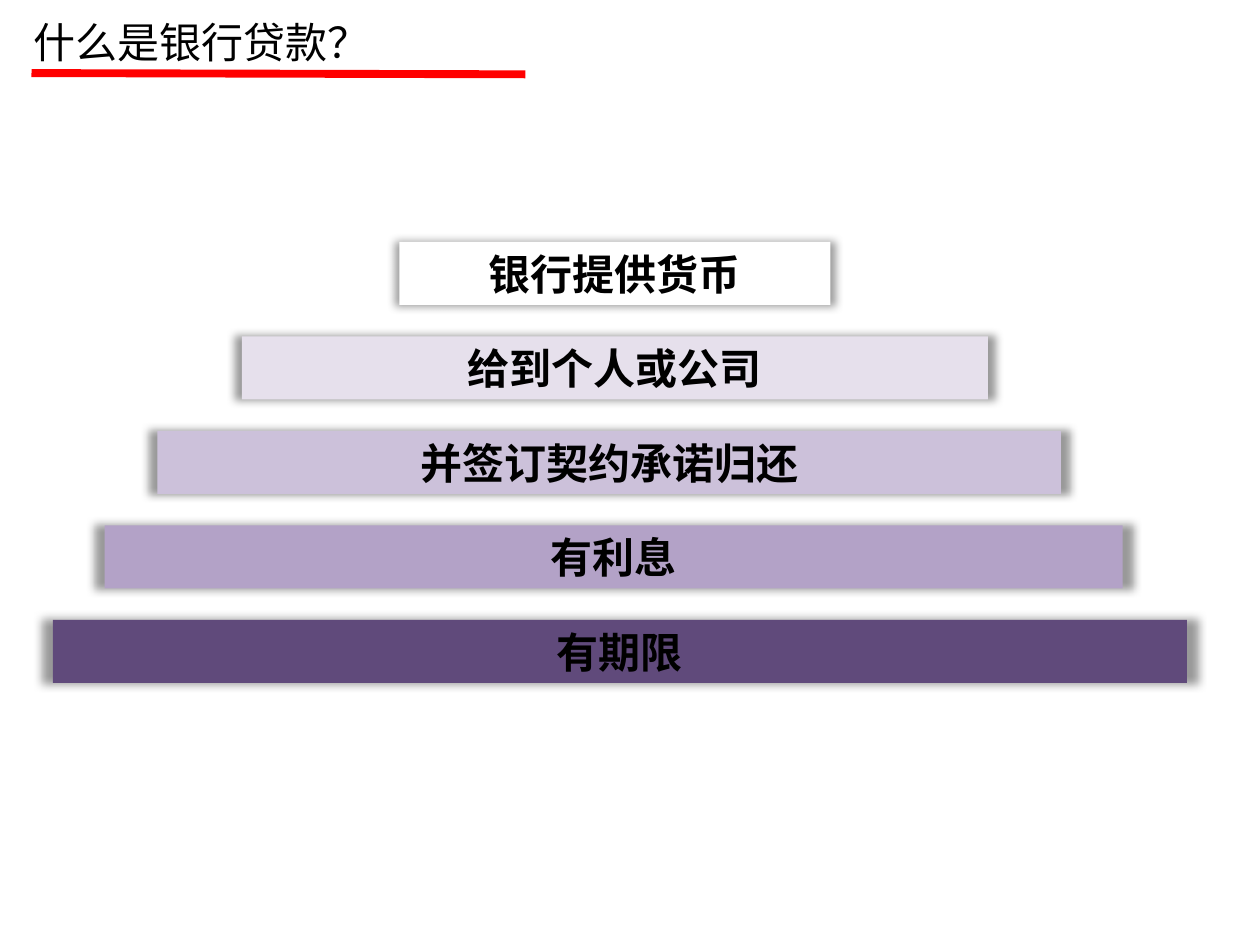
from lxml.etree import SubElement
from pptx import Presentation
from pptx.dml.color import RGBColor
from pptx.enum.shapes import MSO_CONNECTOR, MSO_SHAPE
from pptx.enum.text import MSO_ANCHOR, MSO_AUTO_SIZE, PP_ALIGN
from pptx.oxml.ns import qn
from pptx.util import Inches, Pt

FONT = "Noto Sans CJK SC"
BAR_TOP, BAR_STEP, BAR_HEIGHT = 1.92, 0.75, 0.5
BARS = [  # text, left, width, fill
    ("银行提供货币", 3.17, 3.42, "FFFFFF"),
    ("给到个人或公司", 1.92, 5.92, "E6E0EC"),
    ("并签订契约承诺归还", 1.25, 7.17, "CCC1DA"),
    ("有利息", 0.83, 8.08, "B3A2C7"),
    ("有期限", 0.42, 9, "604A7B"),
]


def color(value):
    return RGBColor.from_string(value)


def set_text(sp, text, align, bold=False):
    tf = sp.text_frame
    tf.text = text
    tf.word_wrap = True
    tf.auto_size = MSO_AUTO_SIZE.SHAPE_TO_FIT_TEXT
    tf.vertical_anchor = MSO_ANCHOR.TOP
    p = tf.paragraphs[0]
    p.alignment = align
    r = p.runs[0]
    r.font.size = Pt(24)
    r.font.bold = bold
    r.font.color.rgb = color("000000")
    r.font.name = FONT
    SubElement(r.font._element, qn("a:ea"), typeface=FONT)


def add_glow_shadow(sp):
    """Soft shadow on all sides, slightly larger than the shape."""
    sp.shadow.inherit = False
    effects = sp._element.spPr.find(qn("a:effectLst"))
    shadow = SubElement(effects, qn("a:outerShdw"), blurRad=str(Pt(5)),
                        sx="102000", sy="102000", algn="ctr", rotWithShape="0")
    black = SubElement(shadow, qn("a:srgbClr"), val="000000")
    SubElement(black, qn("a:alpha"), val="40000")


def add_title(s, text):
    sp = s.shapes.add_textbox(Inches(0.17), Inches(0.08), Inches(5.42), Inches(0.5))
    set_text(sp, text, PP_ALIGN.LEFT)


def add_underline(s):
    line = s.shapes.add_connector(MSO_CONNECTOR.STRAIGHT, Inches(0.25), Inches(0.58),
                                  Inches(4.17), Inches(0.59))
    line.line.color.rgb = color("FF0000")
    line.line.width = Pt(4.5)
    SubElement(line._element.spPr, qn("a:effectLst"))


def add_bar(s, text, left, top, width, fill):
    sp = s.shapes.add_shape(MSO_SHAPE.RECTANGLE, Inches(left), Inches(top),
                            Inches(width), Inches(BAR_HEIGHT))
    sp.fill.solid()
    sp.fill.fore_color.rgb = color(fill)
    sp.line.fill.background()
    add_glow_shadow(sp)
    set_text(sp, text, PP_ALIGN.CENTER, bold=True)


def main():
    prs = Presentation()
    prs.slide_width, prs.slide_height = Inches(10), Inches(7.5)
    s = prs.slides.add_slide(prs.slide_layouts[6])
    add_title(s, "什么是银行贷款？")
    add_underline(s)
    for i, (text, left, width, fill) in enumerate(BARS):
        add_bar(s, text, left, BAR_TOP + i * BAR_STEP, width, fill)
    prs.save("out.pptx")


if __name__ == "__main__":
    main()
